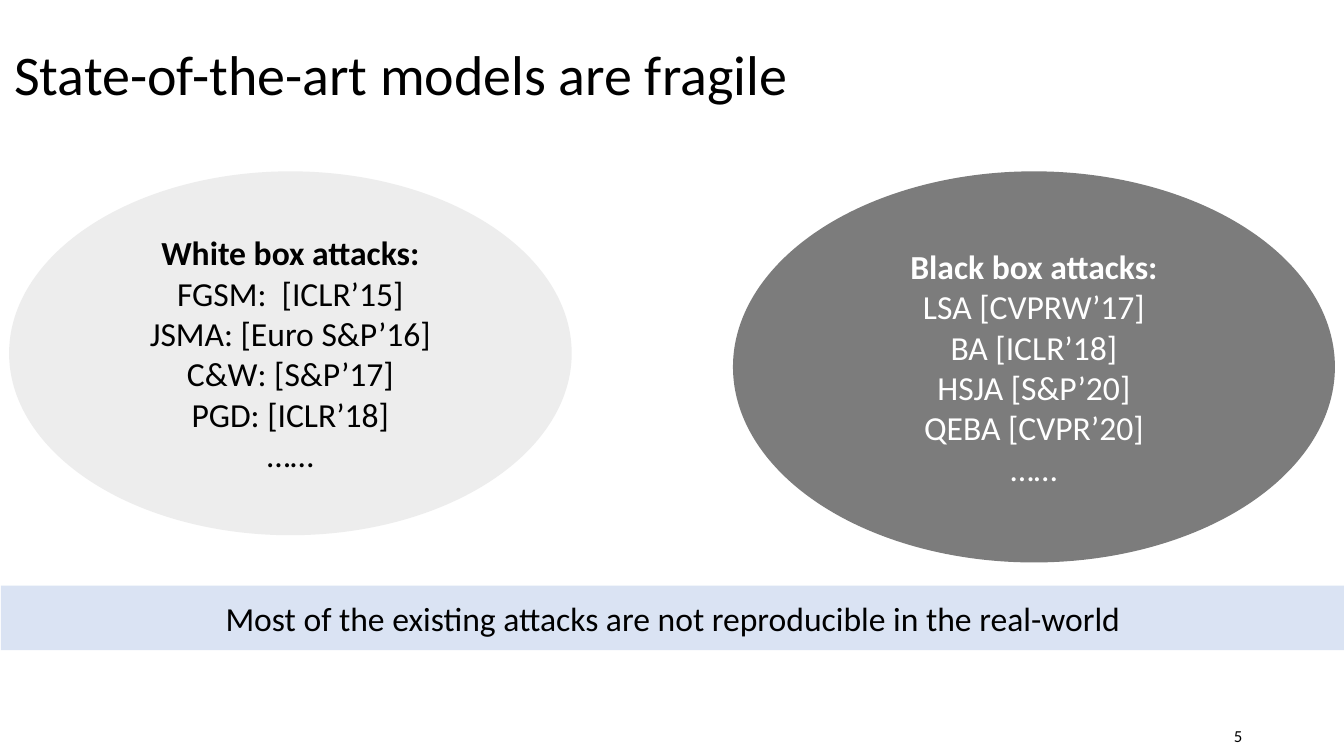
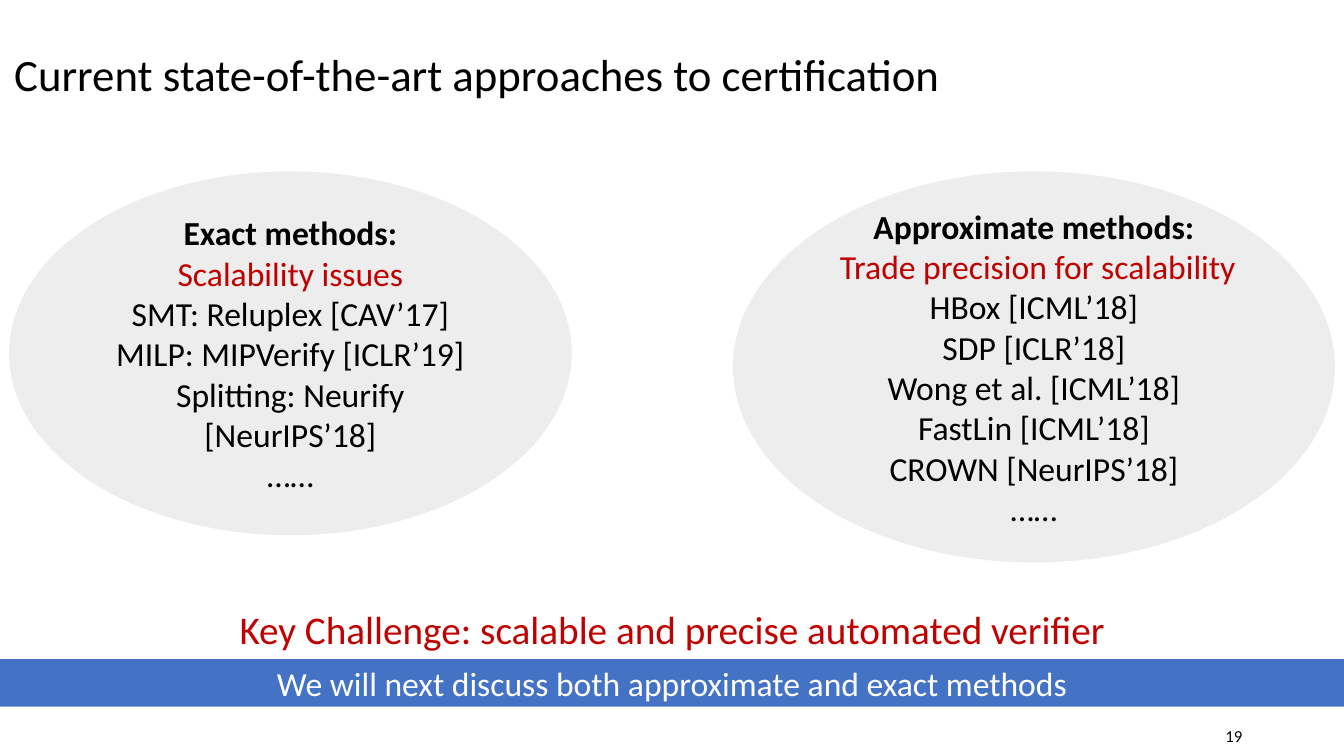
from pptx import Presentation
from pptx.dml.color import RGBColor
from pptx.enum import shapes, text
from pptx.util import Inches, Pt

FONT = "Calibri"
COLORS = {
    "black": "000000", "white": "FFFFFF", "red": "C00000",
    "light_gray": "EDEDED", "dark_gray": "7C7C7C",
    "pale_blue": "DAE3F3", "blue": "4472C4",
}

# Places shared by the slides: left, top, width, height
OVALS = [(0.09, 1.7, 5.58, 3.61), (7.27, 1.7, 5.97, 3.88)]
NUMBER = (9.42, 7.1, 3, 0.4)
CHALLENGE = (0, 5.96, 13.33, 0.57)

# Content: each oval has a fill, a text colour, a heading, a red remark and its entries
SLIDES = [
    {
        "title": "State-of-the-art models are fragile",
        "title_size": 40, "title_width": 13.29, "number": "5",
        "ovals": [
            ("light_gray", "black", "White box attacks:", None,
             ["FGSM:  [ICLR’15]", "JSMA: [Euro S&P’16]", "C&W: [S&P’17]",
              "PGD: [ICLR’18]", "……"]),
            ("dark_gray", "white", "Black box attacks:", None,
             ["LSA [CVPRW’17]", "BA [ICLR’18]", "HSJA [S&P’20]",
              "QEBA [CVPR’20]", "……"]),
        ],
        "challenge": None,
        "band": ("Most of the existing attacks are not reproducible in the real-world",
                 "pale_blue", "black", (0.01, 5.81, 13.33, 0.64)),
    },
    {
        "title": "Current state-of-the-art approaches to certification",
        "title_size": 32, "title_width": 12.21, "number": "19",
        "ovals": [
            ("light_gray", "black", "Exact methods:", "Scalability issues",
             ["SMT: Reluplex [CAV’17]", "MILP: MIPVerify [ICLR’19]",
              "Splitting: Neurify [NeurIPS’18]", "……"]),
            ("light_gray", "black", "Approximate methods:",
             " Trade precision for scalability",
             ["HBox [ICML’18]", "SDP [ICLR’18]", "Wong et al. [ICML’18]",
              "FastLin [ICML’18]", "CROWN [NeurIPS’18]", "……"]),
        ],
        "challenge": "Key Challenge: scalable and precise automated verifier",
        "band": ("We will next discuss both approximate and exact methods",
                 "blue", "white", (0, 6.54, 13.33, 0.47)),
    },
]


def rgb(name):
    return RGBColor.from_string(COLORS[name])


def write(shape, lines, size, align, anchor=text.MSO_ANCHOR.MIDDLE):
    """Fill a shape with lines of (words, colour, bold)."""
    frame = shape.text_frame
    frame.word_wrap = True
    frame.vertical_anchor = anchor
    frame.text = "\n".join(words for words, _, _ in lines)
    for para, (_, color, bold) in zip(frame.paragraphs, lines):
        para.alignment = align
        for span in para.runs:
            span.font.name = FONT
            span.font.size = Pt(size)
            span.font.bold = bold
            span.font.color.rgb = rgb(color)


def add_filled(page, kind, place, fill, lines):
    shape = page.shapes.add_shape(kind, *map(Inches, place))
    shape.shadow.inherit = False
    shape.fill.solid()
    shape.fill.fore_color.rgb = rgb(fill)
    shape.line.fill.background()
    write(shape, lines, 24, text.PP_ALIGN.CENTER)


def add_label(page, place, words, size, color, align, anchor):
    box = page.shapes.add_textbox(*map(Inches, place))
    write(box, [(words, color, False)], size, align, anchor)


def add_title(page, content):
    title = page.shapes.title
    title.left, title.top = Inches(0.04), Inches(0.04)
    title.width, title.height = Inches(content["title_width"]), Inches(1.45)
    write(title, [(content["title"], "black", False)],
          content["title_size"], text.PP_ALIGN.LEFT)
    title.text_frame.paragraphs[0].line_spacing = 0.9


def build_slide(deck, content):
    page = deck.slides.add_slide(deck.slide_layouts[5])
    add_title(page, content)
    add_label(page, NUMBER, content["number"], 12, "black",
              text.PP_ALIGN.RIGHT, text.MSO_ANCHOR.MIDDLE)

    # Two ovals of related work
    for place, (fill, color, heading, remark, entries) in zip(OVALS, content["ovals"]):
        lines = [(heading, color, True)]
        if remark:
            lines.append((remark, "red", False))
        lines += [(entry, color, False) for entry in entries]
        add_filled(page, shapes.MSO_SHAPE.OVAL, place, fill, lines)

    # Conclusion
    if content["challenge"]:
        add_label(page, CHALLENGE, content["challenge"], 28, "red",
                  text.PP_ALIGN.CENTER, text.MSO_ANCHOR.TOP)
    words, fill, color, place = content["band"]
    add_filled(page, shapes.MSO_SHAPE.RECTANGLE, place, fill, [(words, color, False)])


def main():
    deck = Presentation()
    deck.slide_width, deck.slide_height = Inches(13.33), Inches(7.5)
    for content in SLIDES:
        build_slide(deck, content)
    deck.save("out.pptx")


if __name__ == "__main__":
    main()
